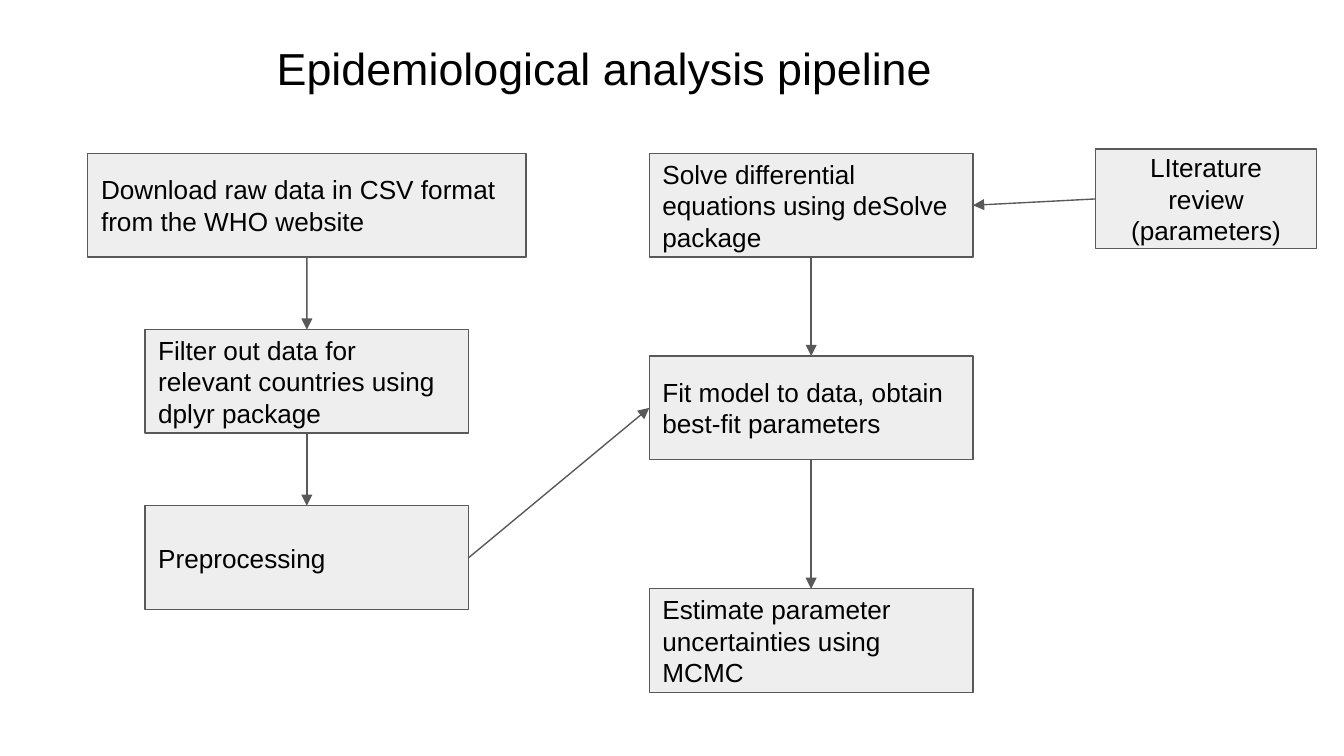
from lxml.etree import SubElement as Sub
from pptx import Presentation
from pptx.dml.color import RGBColor
from pptx.enum.shapes import MSO_CONNECTOR as Link, MSO_SHAPE as Shape
from pptx.enum.text import MSO_ANCHOR as Anchor, PP_ALIGN as Align
from pptx.oxml.ns import qn
from pptx.util import Cm, Pt

INK, GREY, PALE = "000000", "595959", "EEEEEE"
TOP, LEFT, BOTTOM, RIGHT = range(4)
HIGH = 1.96


def color(code):
    """Turn a hex string into a colour."""
    return RGBColor.from_string(code)


def write(shape, text, size=14, align=Align.LEFT, anchor=Anchor.MIDDLE):
    """Fill a shape with formatted text, one paragraph per line."""
    frame = shape.text_frame
    frame.word_wrap = True
    frame.vertical_anchor = anchor
    frame.margin_left = frame.margin_right = Cm(0.25)
    frame.margin_top = frame.margin_bottom = Cm(0.25)
    frame.text = text
    for para in frame.paragraphs:
        para.alignment = align
        for run in para.runs:
            run.font.name = "Arial"
            run.font.size = Pt(size)
            run.font.color.rgb = color(INK)


def title(slide, text, left, top, width, height):
    """Place the slide title in its box."""
    box = slide.shapes.add_textbox(Cm(left), Cm(top), Cm(width), Cm(height))
    write(box, text, size=24, anchor=Anchor.BOTTOM)


def step(slide, text, left, top, width, height=HIGH, **style):
    """Draw one grey step box and return it."""
    box = slide.shapes.add_shape(
        Shape.RECTANGLE, Cm(left), Cm(top), Cm(width), Cm(height))
    box.shadow.inherit = False
    box.fill.solid()
    box.fill.fore_color.rgb = color(PALE)
    box.line.color.rgb = color(GREY)
    box.line.width = Pt(0.75)
    write(box, text, **style)
    return box


def arrow(slide, start, out, end, into):
    """Join two boxes by an arrow between the given sides."""
    line = slide.shapes.add_connector(Link.STRAIGHT, 0, 0, 0, 0)
    line.begin_connect(start, out)
    line.end_connect(end, into)
    line.line.color.rgb = color(GREY)
    line.line.width = Pt(0.75)
    Sub(line.line._get_or_add_ln(), qn("a:tailEnd"), type="triangle")
    Sub(line._element.spPr, qn("a:effectLst"))


def column(slide, left, top, width, steps):
    """Stack centred steps (text, offset, width) joined by arrows."""
    boxes = [step(slide, text, left + (width - wide) / 2, top + drop, wide)
             for text, drop, wide in steps]
    for upper, lower in zip(boxes, boxes[1:]):
        arrow(slide, upper, BOTTOM, lower, TOP)
    return boxes


def pipeline(slide, left, top):
    """Lay out both columns and the review box from a top left corner."""
    wide, slim, gap = 8.28, 6.12, 3.33
    data = column(slide, left, top, wide, [
        ("Download raw data in CSV format from the WHO website", 0, wide),
        ("Filter out data for relevant countries using dplyr package",
         gap, slim),
        ("Preprocessing", 2 * gap, slim)])
    model = column(slide, left + 10.61, top, slim, [
        ("Solve differential equations using deSolve package", 0, slim),
        ("Fit model to data, obtain best-fit parameters", 3.83, slim),
        ("Estimate parameter uncertainties using MCMC", 8.23, slim)])
    review = step(slide, "LIterature review\n(parameters)", left + 19.05,
                  top - 0.08, 4.17, 1.88, align=Align.CENTER)
    arrow(slide, data[-1], RIGHT, model[1], LEFT)
    arrow(slide, review, LEFT, model[0], RIGHT)


deck = Presentation()
deck.slide_width, deck.slide_height = Cm(25.4), Cm(14.29)
page = deck.slides.add_slide(deck.slide_layouts[6])
title(page, "Epidemiological analysis pipeline", 4.98, 0.51, 13.79, 1.52)
pipeline(page, 1.66, 2.9)
deck.save("out.pptx")
